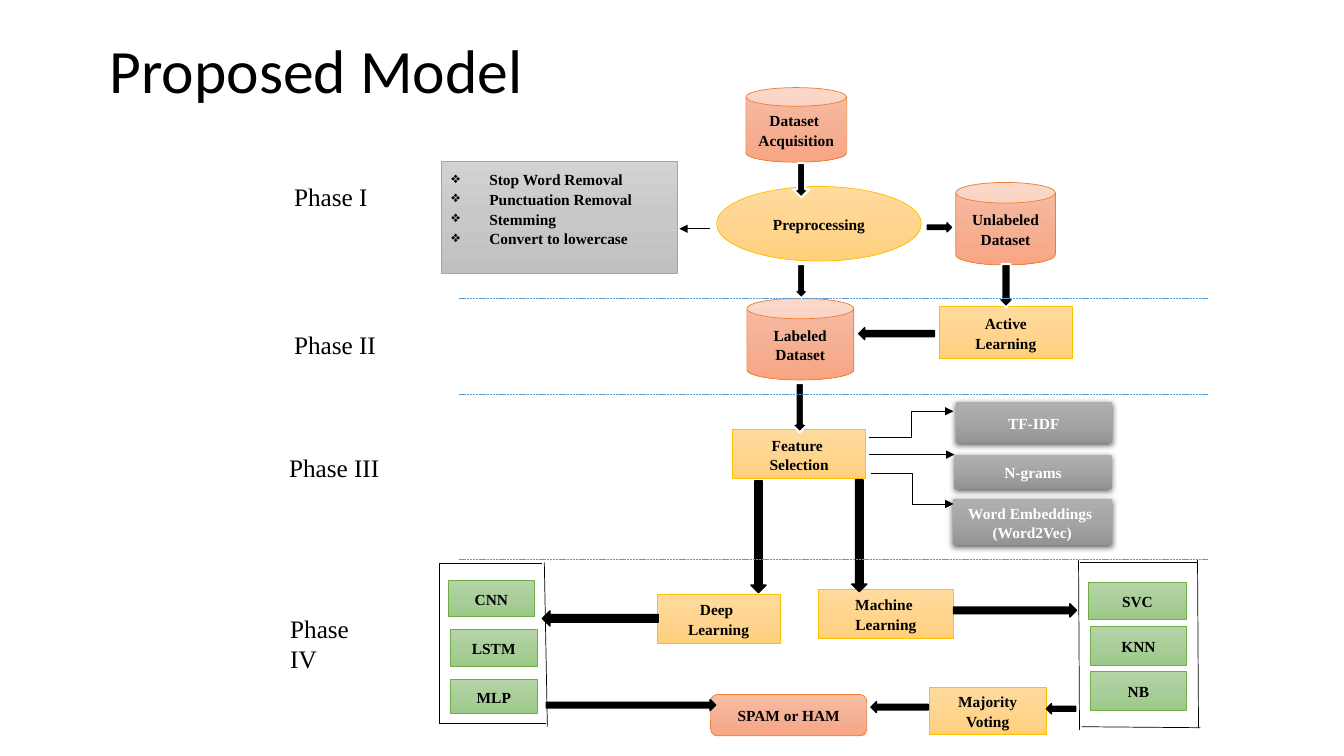
import copy

import pptx
import pptx.dml.color
import pptx.enum.dml
import pptx.enum.shapes
import pptx.enum.text
import pptx.oxml
import pptx.oxml.ns
import pptx.util

Pt = pptx.util.Pt
Kind = pptx.enum.shapes.MSO_SHAPE
Link = pptx.enum.shapes.MSO_CONNECTOR
Align = pptx.enum.text.PP_ALIGN
Anchor = pptx.enum.text.MSO_ANCHOR
qn = pptx.oxml.ns.qn

HEX = {"black": "000000", "white": "FFFFFF", "blue": "5B9BD5",
       "orange": "ED7D31", "gold": "FFC000", "silver": "A5A5A5", "green": "70AD47"}
FADES = {
    "orange": ("F7BDA5", "F5B196", "F8A582"),
    "gold": ("FFDB9E", "FFD590", "FFD07C"),
    "silver": ("D2D2D2", "C8C8C8", "C0C0C0"),
    "gray": ("AFAFAF", "A5A5A5", "939393"),
    "green": ("B5D5A7", "AACE9A", "9CC987"),
}


def color(code):
    return pptx.dml.color.RGBColor.from_string(code)


def node(text):
    """Make an XML element in the drawing namespace."""
    head, rest = text.split(" ", 1)
    return pptx.oxml.parse_xml(f"<{head} {pptx.oxml.ns.nsdecls('a')} {rest}")


class Chart:
    font = "Times New Roman"

    def __init__(self, slide):
        self.shapes = slide.shapes

    def words(self, para, text, size, ink="black", bold=False, font=None):
        """Add the text run by run, with a break between its lines."""
        for num, line in enumerate(text.split("\n")):
            if num:
                para.add_line_break()
            run = para.add_run()
            run.text = line
            run.font.name = font or self.font
            run.font.size = Pt(size)
            run.font.bold = bold
            run.font.color.rgb = color(HEX[ink])

    def label(self, text, box, size=18, space=None, wrap=False, font=None,
              anchor=Anchor.TOP):
        frame = self.shapes.add_textbox(*map(Pt, box)).text_frame
        frame.word_wrap = wrap
        frame.vertical_anchor = anchor
        para = frame.paragraphs[0]
        para.line_spacing = space
        self.words(para, text, size, font=font)

    def fade(self, shape, codes):
        """Fill from top to bottom with three colours."""
        fill = shape.fill
        fill.gradient()
        fill.gradient_angle = 270
        stops = shape.element.spPr.find(".//" + qn("a:gsLst"))
        stops.insert(1, copy.deepcopy(stops[0]))
        for stop, code, place in zip(fill.gradient_stops, codes, (0, 0.5, 1)):
            stop.color.rgb = color(code)
            stop.position = place

    def block(self, kind, box, fade):
        shape = self.shapes.add_shape(kind, *map(Pt, box))
        shape.shadow.inherit = False
        self.fade(shape, FADES[fade])
        if fade == "gray":
            shape.line.fill.background()
            glow = node('a:outerShdw blurRad="57150" dist="19050" dir="5400000" '
                        'algn="ctr" rotWithShape="0"><a:srgbClr val="000000">'
                        '<a:alpha val="63000"/></a:srgbClr></a:outerShdw>')
            shape.element.spPr.find(qn("a:effectLst")).append(glow)
        else:
            shape.line.color.rgb = color(HEX[fade])
            shape.line.width = Pt(0.5)
        shape.text_frame.word_wrap = True
        shape.text_frame.vertical_anchor = Anchor.MIDDLE
        return shape.text_frame

    def step(self, text, box, fade="gold", kind=Kind.RECTANGLE):
        para = self.block(kind, box, fade).paragraphs[0]
        para.alignment = Align.CENTER
        para.line_spacing = 1.07
        para.space_after = Pt(8)
        self.words(para, text, 11, "white" if fade == "gray" else "black", True)

    def bullets(self, items, box):
        frame = self.block(Kind.RECTANGLE, box, "silver")
        frame.margin_bottom = Pt(16)
        for num, item in enumerate(items):
            para = frame.add_paragraph() if num else frame.paragraphs[0]
            para.alignment = Align.LEFT
            para.line_spacing = 1.07
            props = para._p.get_or_add_pPr()
            props.set("marL", str(Pt(27)))
            props.set("indent", str(Pt(-27)))
            props.append(node('a:buChar char="❖"/>'))
            self.words(para, item, 11, bold=True)

    def arrow(self, kind, box, turn=0, edge="black", width=1):
        shape = self.shapes.add_shape(kind, *map(Pt, box))
        shape.shadow.inherit = False
        shape.rotation = turn
        shape.fill.solid()
        shape.fill.fore_color.rgb = color(HEX["black"])
        shape.line.color.rgb = color(HEX[edge])
        shape.line.width = Pt(width)

    def line(self, ends, ink="black", kind=Link.STRAIGHT, dash=False, tip=False):
        link = self.shapes.add_connector(kind, *map(Pt, ends))
        link.line.color.rgb = color(HEX[ink])
        link.line.width = Pt(0.5)
        if dash:
            link.line.dash_style = pptx.enum.dml.MSO_LINE.SQUARE_DOT
        props = link._element.spPr
        if tip:
            props.find(qn("a:ln")).append(node('a:tailEnd type="triangle"/>'))
        props.append(node("a:effectLst />"))


def main():
    deck = pptx.Presentation()
    deck.slide_width, deck.slide_height = Pt(960), Pt(540)
    chart = Chart(deck.slides.add_slide(deck.slide_layouts[6]))

    chart.label("Proposed Model", (71.3, 0, 828, 104.4), 44, 0.9, True,
                "Calibri", Anchor.MIDDLE)
    chart.label("Phase I", (203, 124.6, 67, 30.2), space=1.07)
    chart.label("Phase II", (203, 231.8, 73.4, 28.8))
    chart.label("Phase III", (199.4, 318.2, 79.9, 30.2), space=1.07)
    chart.label("Phase IV", (200.2, 434.2, 79.2, 28.8), wrap=True)

    for text, box in (("Dataset \nAcquisition", (532.8, 62.6, 72, 53.3)),
                      ("Unlabeled\nDataset", (682.6, 130.3, 71.3, 59)),
                      ("Labeled\nDataset", (533.5, 213.1, 76.3, 58.3))):
        chart.step(text, box, "orange", Kind.CAN)
    chart.step("SPAM or HAM", (507.6, 496.1, 111.6, 29.5), "orange",
               Kind.ROUNDED_RECTANGLE)
    chart.step("Preprocessing", (511.9, 133.2, 146.2, 53.3), kind=Kind.OVAL)
    chart.bullets(("Stop Word Removal", "Punctuation Removal", "Stemming",
                   "Convert to lowercase"), (315.4, 115.2, 168.5, 79.9))

    steps = {
        "gold": (("Feature \nSelection", (523.4, 306.7, 95, 35.3)),
                 ("Active\nLearning", (671, 218.9, 95, 37.4)),
                 ("Deep \nLearning", (469.4, 424.8, 87.8, 34.6)),
                 ("Machine \nLearning", (584.6, 421.2, 96.5, 34.6)),
                 ("Majority\nVoting", (663.8, 491, 83.5, 33.8))),
        "gray": (("TF-IDF", (682.6, 287.3, 111.6, 29.5)),
                 ("Word Embeddings \n(Word2Vec)", (680.4, 356.4, 113.8, 33.1)),
                 ("N-grams", (681.8, 324.7, 112.3, 24.5))),
        "green": (("SVC", (777.6, 416.2, 69.8, 25.9)),
                  ("KNN", (779, 447.1, 68.4, 28.1)),
                  ("NB", (779, 479.5, 68.4, 28.1)),
                  ("CNN", (320.4, 414.7, 61.2, 25.9)),
                  ("LSTM", (321.8, 449.3, 61.9, 26.6)),
                  ("MLP", (321.8, 485.3, 61.9, 24.5))),
    }
    for fade, group in steps.items():
        for text, box in group:
            chart.step(text, box, fade)

    frames = ((770.4, 400.3, 771.1, 521.3), (771.1, 401.8, 855.4, 401.8),
              (855.4, 399.6, 856.1, 519.8), (857.5, 519.8, 772.6, 519.1),
              (313.9, 402.5, 387.4, 402.5), (313.9, 402.5, 313.9, 517),
              (314.6, 517, 390.2, 517), (388.8, 401.8, 391, 519.1))
    for ends in frames:
        chart.line(ends)

    for box in ((566.6, 116.6, 11.5, 24.5), (566.6, 188.6, 11.5, 24.5),
                (712.1, 188.6, 13, 31), (565.2, 273.6, 12.2, 35.3)):
        chart.arrow(Kind.DOWN_ARROW, box, edge="white", width=1.5)
    for left, top in ((536.4, 343.4), (608.4, 342.7)):
        chart.arrow(Kind.DOWN_ARROW, (left, top, 10.8, 79.9))
    for box in ((662.4, 159.1, 17.3, 6.5), (681.1, 431.3, 87.8, 9.4),
                (390.2, 499.7, 121, 7.9)):
        chart.arrow(Kind.RIGHT_ARROW, box)
    for box in ((613.4, 234, 54, 8.6), (387.4, 436.3, 82.8, 10.8),
                (622.1, 501.1, 41, 7.9), (747.4, 502.6, 20.9, 7.2)):
        chart.arrow(Kind.RIGHT_ARROW, box, turn=180)

    for ends in ((620.6, 312.5, 681.1, 293.8), (620.6, 324.7, 681.8, 324.7),
                 (622.1, 338.4, 681.1, 360)):
        chart.line(ends, kind=Link.ELBOW, tip=True)
    chart.line((506.9, 163.4, 485.3, 163.4), tip=True)
    for top in (213.1, 281.5, 399.6):
        chart.line((327.6, top, 862.6, top), "blue", dash=True)

    deck.save("out.pptx")


if __name__ == "__main__":
    main()
